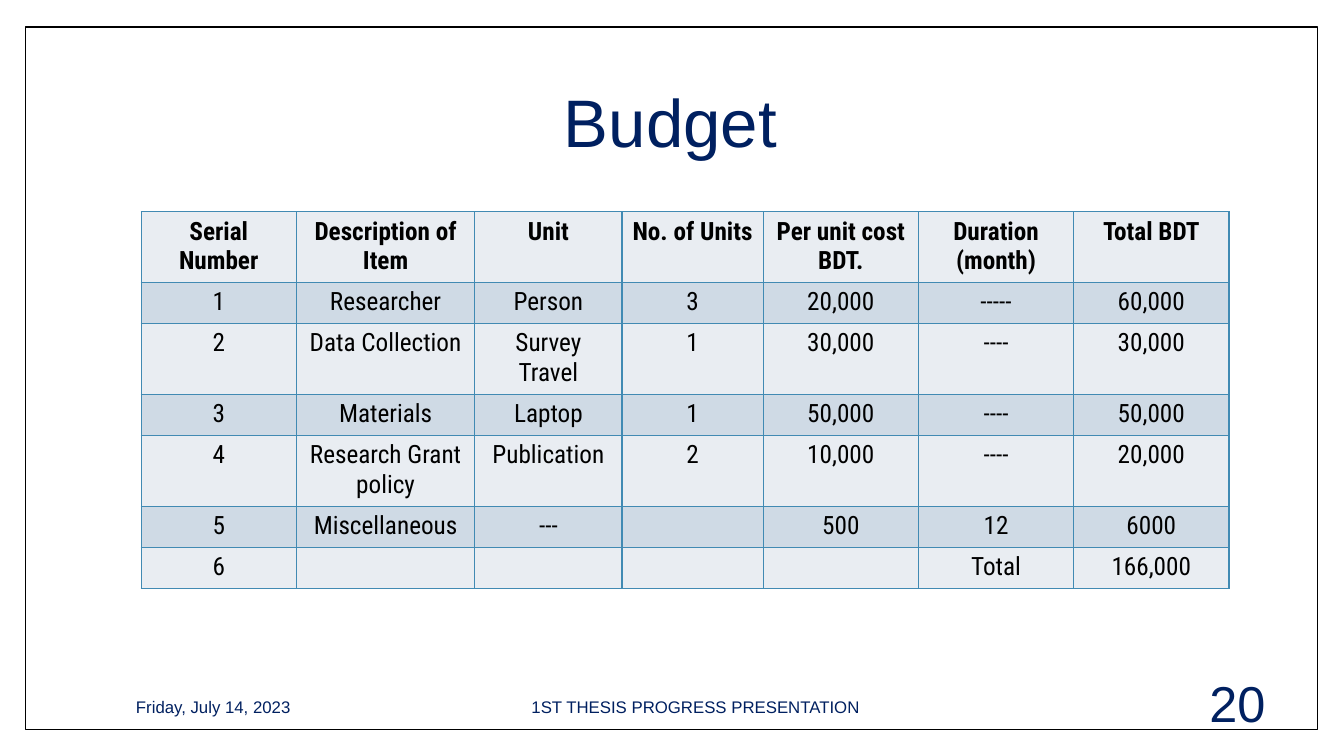
from lxml import etree
from pptx import Presentation, util as u
from pptx.dml import color
from pptx.enum import shapes, text
from pptx.oxml import ns

COLORS = {
    "paper": "FFFFFF",
    "ink": "000000",
    "navy": "002060",
    "grid": "418AB3",
    "light": "E9EDF2",
    "band": "CFDAE5",
}
COLUMN_WIDTHS = [1.54, 1.77, 1.46, 1.4, 1.54, 1.54, 1.54]
ROW_HEIGHT = 0.41
BUDGET = [
    ["Serial Number", "Description of Item", "Unit", "No. of Units",
     "Per unit cost BDT.", "Duration\n(month)", "Total BDT"],
    ["1", "Researcher", "Person", "3", "20,000", "-----", "60,000"],
    ["2", "Data Collection", "Survey Travel", "1", "30,000", "----", "30,000"],
    ["3", "Materials", "Laptop", "1", "50,000", "----", "50,000"],
    ["4", "Research Grant policy", "Publication", "2", "10,000", "----", "20,000"],
    ["5", "Miscellaneous", "---", "", "500", "12", "6000"],
    ["6", "", "", "", "", "Total", "166,000"],
]
FOOTER = [
    ((1.25, 6.81, 2.55, 0.4), "Friday, July 14, 2023", 12, text.PP_ALIGN.LEFT),
    ((4.32, 6.81, 5.16, 0.4), "1ST THESIS PROGRESS PRESENTATION", 12, text.PP_ALIGN.CENTER),
    ((10.78, 6.77, 1.87, 0.4), "20", 36, text.PP_ALIGN.RIGHT),
]


def rgb(name):
    return color.RGBColor.from_string(COLORS[name])


def inches(box):
    return [u.Inches(value) for value in box]


def write(paragraph, words, ink, align, **font):
    paragraph.text = words
    paragraph.alignment = align
    for run in paragraph.runs:
        run.font.color.rgb = rgb(ink)
        for name, value in font.items():
            setattr(run.font, name, value)


def add_frame(slide, box):
    frame = slide.shapes.add_shape(shapes.MSO_SHAPE.RECTANGLE, *inches(box))
    frame.shadow.inherit = False
    frame.fill.solid()
    frame.fill.fore_color.rgb = rgb("paper")
    frame.line.color.rgb = rgb("ink")
    frame.line.width = u.Pt(1)
    slide.shapes.title.element.addprevious(frame.element)


def set_title(slide, box, words):
    title = slide.shapes.title
    for name, value in zip(("left", "top", "width", "height"), inches(box)):
        setattr(title, name, value)
    title.text_frame.vertical_anchor = text.MSO_ANCHOR.MIDDLE
    paragraph = title.text_frame.paragraphs[0]
    paragraph.line_spacing = 0.9
    write(paragraph, words, "navy", text.PP_ALIGN.CENTER, name="Arial", size=u.Pt(48))


def add_footer_text(slide, box, words, size, align):
    frame = slide.shapes.add_textbox(*inches(box)).text_frame
    frame.word_wrap = True
    frame.vertical_anchor = text.MSO_ANCHOR.MIDDLE
    write(frame.paragraphs[0], words, "navy", align, name="Arial", size=u.Pt(size))


def add_borders(cell):
    properties = cell._tc.get_or_add_tcPr()
    for position, side in enumerate(("lnL", "lnR", "lnT", "lnB")):
        line = etree.Element(ns.qn(f"a:{side}"), w=str(u.Pt(1)))
        fill = etree.SubElement(line, ns.qn("a:solidFill"))
        etree.SubElement(fill, ns.qn("a:srgbClr"), val=COLORS["grid"])
        properties.insert(position, line)


def add_budget_table(slide, left, top):
    box = (left, top, sum(COLUMN_WIDTHS), ROW_HEIGHT * len(BUDGET))
    table = slide.shapes.add_table(len(BUDGET), len(COLUMN_WIDTHS), *inches(box)).table
    for column, width in zip(table.columns, COLUMN_WIDTHS):
        column.width = u.Inches(width)
    for index, (row, entries) in enumerate(zip(table.rows, BUDGET)):
        row.height = u.Inches(ROW_HEIGHT)
        for cell, entry in zip(row.cells, entries):
            cell.fill.solid()
            cell.fill.fore_color.rgb = rgb("band" if index % 2 else "light")
            add_borders(cell)
            write(cell.text_frame.paragraphs[0], entry, "ink", text.PP_ALIGN.CENTER,
                  name="Roboto Condensed", size=u.Pt(18), bold=index == 0)


def main():
    presentation = Presentation()
    presentation.slide_width = u.Inches(13.33)
    presentation.slide_height = u.Inches(7.5)
    slide = presentation.slides.add_slide(presentation.slide_layouts[5])
    add_frame(slide, (0.25, 0.27, 12.82, 6.97))
    set_title(slide, (1.25, 0.67, 10.8, 1.15), "Budget")
    for item in FOOTER:
        add_footer_text(slide, *item)
    add_budget_table(slide, 1.4, 2.1)
    presentation.save("out.pptx")


if __name__ == "__main__":
    main()
